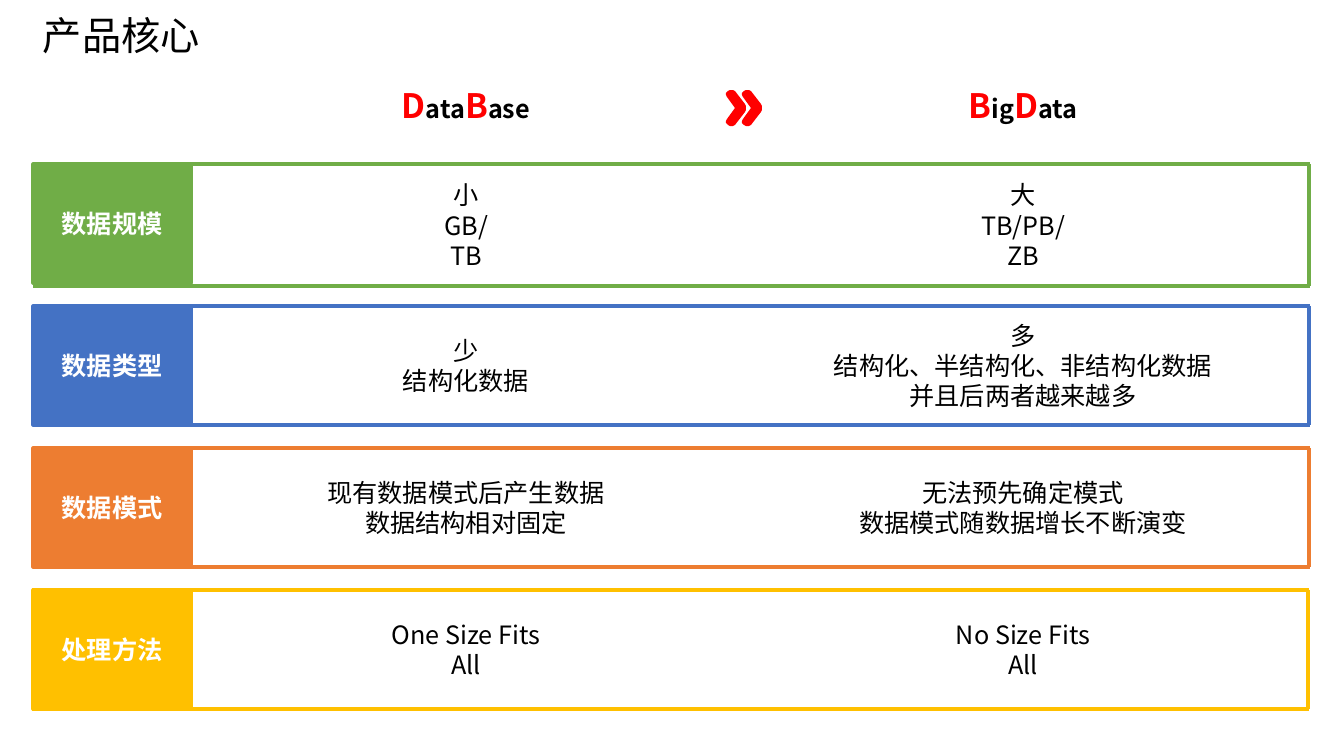
"""Build the slide comparing DataBase and BigData in four coloured rows."""
from lxml.etree import SubElement
from pptx import Presentation
from pptx.dml.color import RGBColor
from pptx.enum.shapes import MSO_CONNECTOR, MSO_SHAPE
from pptx.enum.text import MSO_ANCHOR, PP_ALIGN
from pptx.oxml.ns import qn
from pptx.util import Pt

BLACK = RGBColor(0x00, 0x00, 0x00)
WHITE = RGBColor(0xFF, 0xFF, 0xFF)
RED = RGBColor(0xFF, 0x00, 0x00)
GREEN = RGBColor(0x70, 0xAD, 0x47)
BLUE = RGBColor(0x44, 0x72, 0xC4)
ORANGE = RGBColor(0xED, 0x7D, 0x31)
GOLD = RGBColor(0xFF, 0xC0, 0x00)
FONT = "Noto Sans CJK SC"

TITLE = "产品核心"
HEADINGS = [["D", "ata", "B", "ase"], ["B", "ig", "D", "ata"]]
# Each cell is its text width in px and its lines.
ROWS = [
    {"label": "数据规模", "color": GREEN, "left": 33, "height": 122,
     "cells": [(89, ["小", "GB/TB"]), (124, ["大", "TB/PB/ZB"])]},
    {"label": "数据类型", "color": BLUE, "left": 33, "height": 119,
     "cells": [(148, ["少", "结构化数据"]),
               (404, ["多", "结构化、半结构化、非结构化数据", "并且后两者越来越多"])]},
    {"label": "数据模式", "color": ORANGE, "left": 33, "height": 119,
     "cells": [(302, ["现有数据模式后产生数据", "数据结构相对固定"]),
               (352, ["无法预先确定模式", "数据模式随数据增长不断演变"])]},
    {"label": "处理方法", "color": GOLD, "left": 32, "height": 119,
     "cells": [(195, ["One Size Fits All"]), (181, ["No Size Fits All"])]},
]

PX = 914400 / 100.8
CENTERS = [466, 1023]
ROW_TOP, ROW_PITCH, ROW_WIDTH = 164, 142, 1277
LABEL_LEFT, LABEL_WIDTH, LABEL_HEIGHT = 33, 158, 119
HEAD_TOP, HEAD_WIDTH, HEAD_HEIGHT = 85, 456, 45
CHEVRON_LEFT, CHEVRON_MIDDLE, CHEVRON_STEP = 726, 108, 16
CHEVRON_HALF = [(20, 0), (20, 2), (19, 4), (9, 17), (7, 18), (4, 18),
                (2, 17), (0, 15), (0, 13), (1, 11), (9, 0)]


def emu(*lengths):
    return [round(n * PX) for n in lengths]


def write(sp, lines, anchor=MSO_ANCHOR.MIDDLE, **paragraph_format):
    """Write lines of (text, size, colour, bold) runs into a shape."""
    tf = sp.text_frame
    tf.word_wrap, tf.vertical_anchor = True, anchor
    for i, runs in enumerate(lines):
        p = tf.paragraphs[0] if i == 0 else tf.add_paragraph()
        for name, value in paragraph_format.items():
            setattr(p, name, value)
        for text, size, color, bold in runs:
            r = p.add_run()
            r.text = text
            for name, value in {"name": FONT, "size": Pt(size), "bold": bold}.items():
                setattr(r.font, name, value)
            r.font.color.rgb = color
            SubElement(r.font._element, qn("a:ea")).set("typeface", FONT)


def add_text(s, box, lines, **options):
    write(s.shapes.add_textbox(*emu(*box)), lines, **options)


def add_line(s, ends, color):
    line = s.shapes.add_connector(MSO_CONNECTOR.STRAIGHT, *emu(*ends))
    line.line.color.rgb, line.line.width = color, Pt(2.25)
    SubElement(line._element.spPr, qn("a:effectLst"))


def add_chevrons(s):
    lower = [(x, -y) for x, y in CHEVRON_HALF[-2:0:-1]]
    builder = None
    for step in (0, CHEVRON_STEP):
        points = [(CHEVRON_LEFT + step + x, CHEVRON_MIDDLE + y)
                  for x, y in CHEVRON_HALF + lower]
        if builder is None:
            builder = s.shapes.build_freeform(*points[0], scale=PX)
        else:
            builder.move_to(*points[0])
        builder.add_line_segments(points[1:], close=True)
    sp = builder.convert_to_shape()
    sp.shadow.inherit = False
    sp.fill.solid()
    sp.fill.fore_color.rgb = RED
    sp.line.fill.background()


def add_row(s, top, row):
    color, left = row["color"], row["left"]
    right, bottom = left + ROW_WIDTH, top + row["height"]
    sp = s.shapes.add_shape(MSO_SHAPE.RECTANGLE,
                            *emu(LABEL_LEFT, top, LABEL_WIDTH, LABEL_HEIGHT))
    sp.shadow.inherit = False
    sp.fill.solid()
    sp.fill.fore_color.rgb = sp.line.color.rgb = color
    sp.line.width = Pt(2.25)
    write(sp, [[(row["label"], 18, WHITE, True)]], alignment=PP_ALIGN.CENTER)
    for center, (width, lines) in zip(CENTERS, row["cells"]):
        add_text(s, (center - width / 2, top, width, row["height"]),
                 [[(text, 18, BLACK, False)] for text in lines],
                 alignment=PP_ALIGN.CENTER)
    for ends in [(left, top, right, top), (left, bottom, right, bottom),
                 (right - 1, top, right - 1, bottom)]:
        add_line(s, ends, color)


def main():
    prs = Presentation()
    prs.slide_width, prs.slide_height = emu(1344, 756)
    s = prs.slides.add_slide(prs.slide_layouts[6])
    add_text(s, (33, 0, 1277, 76), [[(TITLE, 28, BLACK, False)]], line_spacing=0.9)
    for center, parts in zip(CENTERS, HEADINGS):
        runs = [(text, 24, RED, True) if i % 2 == 0 else (text, 18, BLACK, True)
                for i, text in enumerate(parts)]
        add_text(s, (center - HEAD_WIDTH / 2, HEAD_TOP, HEAD_WIDTH, HEAD_HEIGHT), [runs],
                 anchor=MSO_ANCHOR.BOTTOM, alignment=PP_ALIGN.CENTER,
                 line_spacing=0.8, space_before=Pt(10))
    add_chevrons(s)
    for i, row in enumerate(ROWS):
        add_row(s, ROW_TOP + i * ROW_PITCH, row)
    prs.save("out.pptx")


if __name__ == "__main__":
    main()
